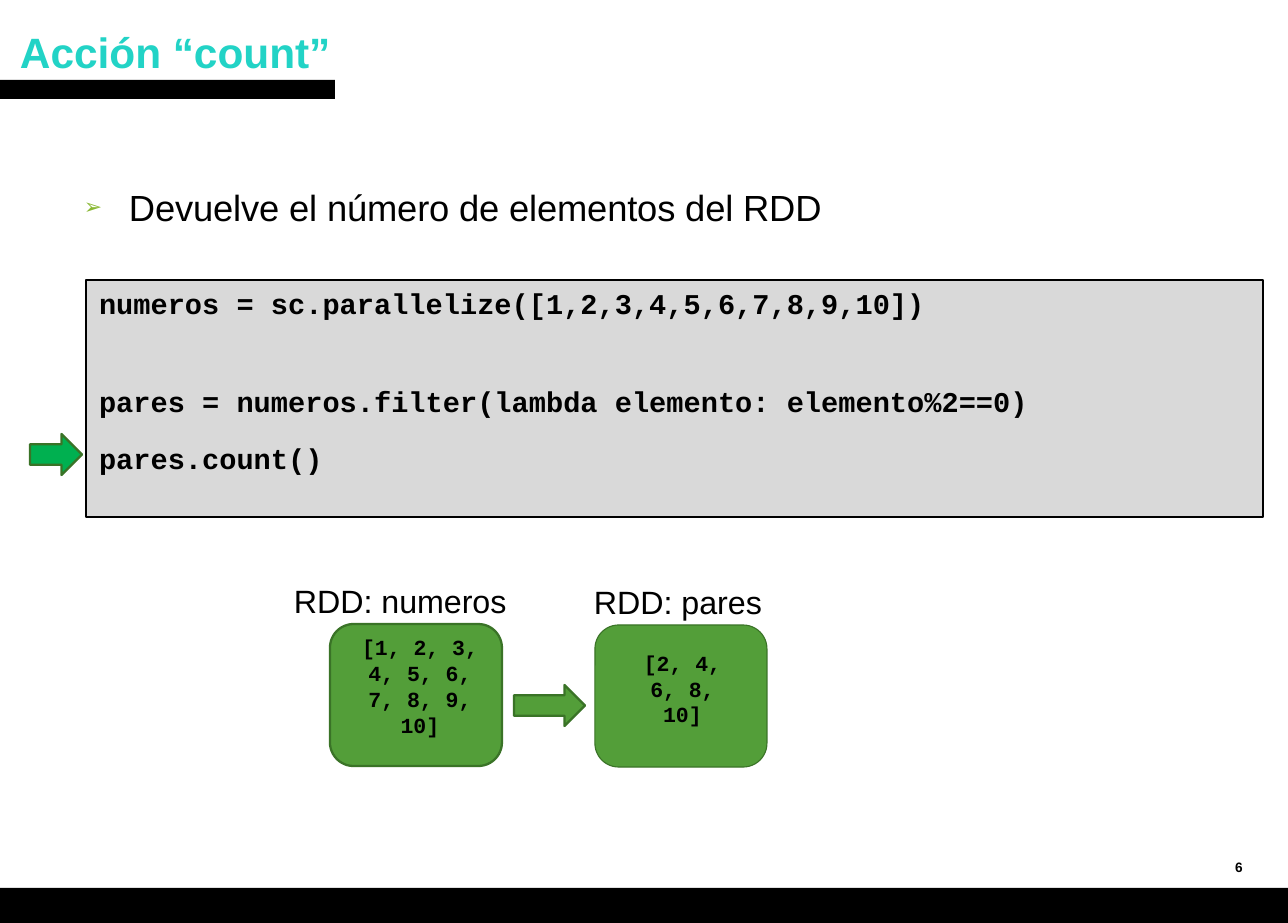
import pptx
import pptx.util
import pptx.dml.color
import pptx.enum.shapes
import pptx.enum.text
import lxml.etree

# Content: places are (left, top, width, height) in px
SIZE = (1288, 923)
TITLE = "Acción “count”"
POINT = "Devuelve el número de elementos del RDD"
CODE = [  # line, space before in points
    ("numeros = sc.parallelize([1,2,3,4,5,6,7,8,9,10])", 0),
    ("pares = numeros.filter(lambda elemento: elemento%2==0)", 42),
    ("pares.count()", 15.2),
]
BARS = [(0, 80, 335, 19), (0, 888, 1288, 35)]
ARROWS = [((30, 434, 52, 41), "00B050"), ((514, 685, 71, 41), "539E39")]
SETS = [  # label, label place, lines, box place, insets, line width
    ("RDD: numeros", (294, 577, 230, 44), ["[1, 2, 3,", "4, 5, 6,", "7, 8, 9,", "10]"],
     (330, 624, 172, 142), (8, 0, 0, 18), 1.5),
    ("RDD: pares", (594, 578, 230, 44), ["[2, 4,", "6, 8,", "10]"],
     (595, 625, 172, 142), (3, 0, 0, 15), 0.75),
]
PAGE = "6"
BLACK, EDGE, GREEN = "000000", "3A7327", "539E39"

MSO = pptx.enum.shapes.MSO_SHAPE
ALIGN = pptx.enum.text.PP_ALIGN
ANCHOR = pptx.enum.text.MSO_ANCHOR
Pt = pptx.util.Pt


def px(n):
    return round(n * 914400 / 109)


def color(code):
    return pptx.dml.color.RGBColor.from_string(code)


def place(shape, box):
    shape.left, shape.top, shape.width, shape.height = map(px, box)


def draw(kind, box, fill, edge=None, width=1):
    shape = slide.shapes.add_shape(kind, *map(px, box))
    shape.shadow.inherit = False
    shape.fill.solid()
    shape.fill.fore_color.rgb = color(fill)
    if edge:
        shape.line.color.rgb = color(edge)
        shape.line.width = Pt(width)
    else:
        shape.line.fill.background()
    return shape


def write(shape, lines, size, font="Arial", ink=BLACK, bold=False, inset=(0, 0, 0, 0),
          align=ALIGN.LEFT, anchor=ANCHOR.TOP, pitch=None, gaps=None, track=0):
    frame = shape.text_frame
    frame.word_wrap = True
    frame.auto_size = pptx.enum.text.MSO_AUTO_SIZE.NONE
    frame.vertical_anchor = anchor
    (frame.margin_left, frame.margin_top,
     frame.margin_right, frame.margin_bottom) = map(px, inset)
    for i, line in enumerate(lines):
        para = frame.paragraphs[0] if i == 0 else frame.add_paragraph()
        para.alignment = align
        para.space_before = Pt(gaps[i] if gaps else 0)
        if pitch:
            para.line_spacing = Pt(pitch)
        run = para.add_run()
        run.text = line
        run.font.size, run.font.name, run.font.bold = Pt(size), font, bold
        run.font.color.rgb = color(ink)
        if track:
            run.font._element.set("spc", str(track))
    return frame


def label(box, text, size, **style):
    return write(slide.shapes.add_textbox(*map(px, box)), [text], size, **style)


def bullet(para, sign, ink, scale):
    props = para._p.get_or_add_pPr()
    props.set("marL", str(px(47)))
    props.set("indent", str(-px(45)))
    space = "http://schemas.openxmlformats.org/drawingml/2006/main"
    tint = lxml.etree.SubElement(props, f"{{{space}}}buClr")
    lxml.etree.SubElement(tint, f"{{{space}}}srgbClr", val=ink)
    lxml.etree.SubElement(props, f"{{{space}}}buSzPct", val=str(scale * 1000))
    lxml.etree.SubElement(props, f"{{{space}}}buChar", char=sign)


deck = pptx.Presentation()
deck.slide_width, deck.slide_height = map(px, SIZE)
slide = deck.slides.add_slide(deck.slide_layouts[1])

# Title and bullet
head, body = slide.placeholders
place(head, (9, 16, 1044, 73))
write(head, [TITLE], 28, ink="22D3C6", bold=True, inset=(11, 10, 11, 0))
place(body, (82, 181, 1071, 46))
frame = write(body, [POINT], 24, inset=(0, 4, 0, 0), track=-10)
bullet(frame.paragraphs[0], "➢", "89B833", 60)

# Bars and page number
for bar in BARS:
    draw(MSO.RECTANGLE, bar, BLACK)
label((1225, 845, 50, 44), PAGE, 9, bold=True, inset=(10, 0, 0, 0), anchor=ANCHOR.MIDDLE)

# Code
panel = draw(MSO.RECTANGLE, (86, 280, 1177, 237), "D9D9D9", BLACK)
lines, gaps = zip(*CODE)
write(panel, lines, 18.9, font="Courier New", bold=True, inset=(13, 6, 0, 0), gaps=gaps)

# Data sets and arrows
for name, spot, rows, box, inset, width in SETS:
    label(spot, name, 21.3, inset=(0, 4, 0, 0))
    tile = draw(MSO.ROUNDED_RECTANGLE, box, GREEN, EDGE, width)
    write(tile, rows, 14.2, font="Courier New", bold=True, inset=inset,
          align=ALIGN.CENTER, anchor=ANCHOR.MIDDLE, pitch=17)
for box, fill in ARROWS:
    draw(MSO.RIGHT_ARROW, box, fill, EDGE, 1.5)

deck.save("out.pptx")
